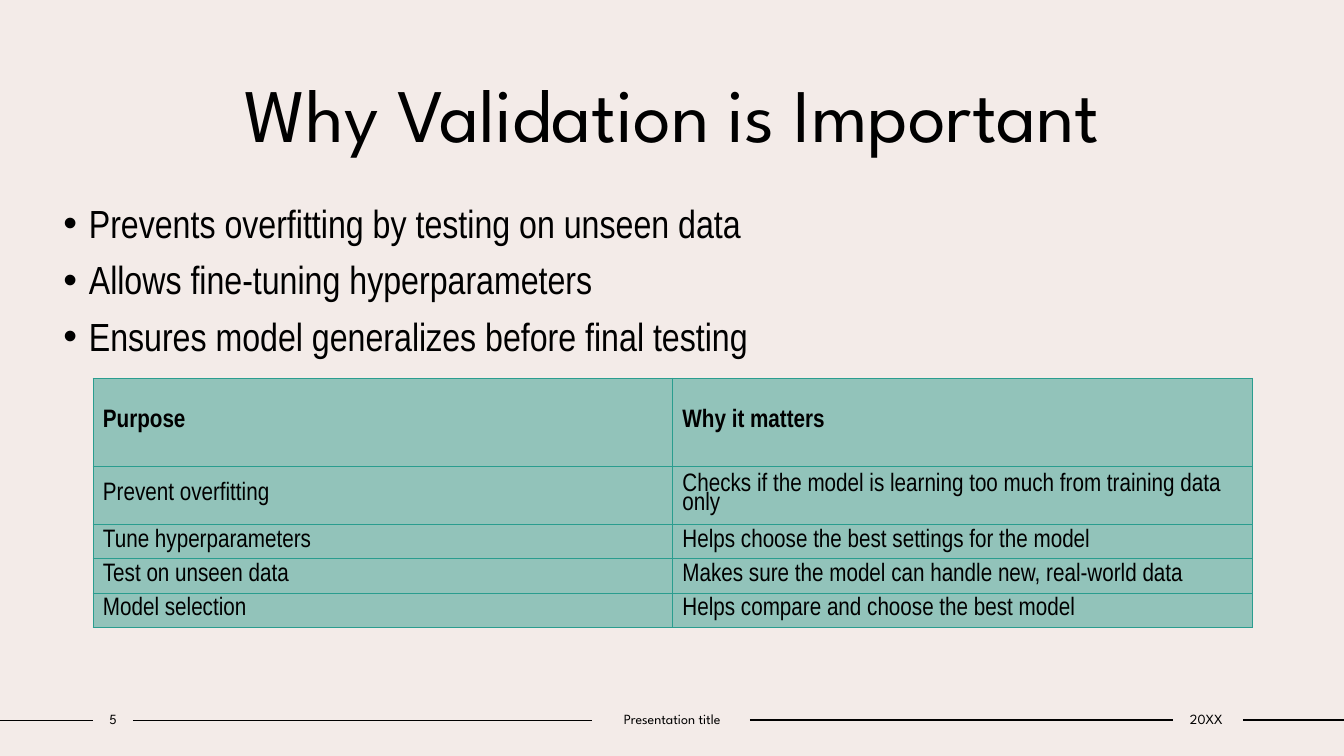
"""Build the slide on why validation is important."""
from dataclasses import dataclass

from lxml import etree
from pptx import Presentation
from pptx import util as u
from pptx.dml.color import RGBColor
from pptx.enum import shapes, text
from pptx.oxml.ns import qn

HUES = {"back": "F3EBE8", "ink": "000000", "cell": "92C3BA", "edge": "2A9D8F"}
HEAD, BODY = "League Spartan", "Arial Narrow"


@dataclass
class Rule:
    left: float
    right: float
    top: float


@dataclass
class Label:
    words: str
    left: float
    top: float
    width: float
    height: float
    size: int
    inset: float


RULES = [
    Rule(0, 2.34, 18.16),
    Rule(3.35, 14.91, 18.16),
    Rule(18.9, 29.57, 18.14),
    Rule(31.32, 33.87, 18.14),
]
LABELS = [
    Label("Why Validation is Important", 3.18, 1.42, 27.53, 2.82, 54, 0.25),
    Label("5", 2.34, 17.78, 1.02, 0.69, 10, 0),
    Label("Presentation title", 14.91, 17.78, 4.06, 0.69, 10, 0),
    Label("20XX", 29.51, 17.78, 1.78, 0.69, 10, 0),
]
POINTS = [
    "Prevents overfitting by testing on unseen data",
    "Allows fine-tuning hyperparameters",
    "Ensures model generalizes before final testing",
]
ROWS = [
    ("Purpose", "Why it matters"),
    ("Prevent overfitting",
     "Checks if the model is learning too much from training data only"),
    ("Tune hyperparameters", "Helps choose the best settings for the model"),
    ("Test on unseen data", "Makes sure the model can handle new, real-world data"),
    ("Model selection", "Helps compare and choose the best model"),
]
TALL = [2.21, 1.45, 0.86, 0.86, 0.86]


def hue(name: str) -> RGBColor:
    return RGBColor.from_string(HUES[name])


def style(para, face: str, size: int, bold: bool = False) -> None:
    font = para.font
    font.name, font.size, font.bold = face, u.Pt(size), bold
    font.color.rgb = hue("ink")


def draw_rule(slide, rule: Rule) -> None:
    line = slide.shapes.add_connector(
        shapes.MSO_CONNECTOR.STRAIGHT, u.Cm(rule.left), u.Cm(rule.top),
        u.Cm(rule.right), u.Cm(rule.top))
    line.line.color.rgb = hue("ink")
    line.line.width = u.Pt(1)
    etree.SubElement(line._element.spPr, qn("a:effectLst"))


def draw_label(slide, label: Label) -> None:
    box = slide.shapes.add_textbox(
        u.Cm(label.left), u.Cm(label.top), u.Cm(label.width), u.Cm(label.height))
    frame = box.text_frame
    frame.word_wrap = True
    frame.vertical_anchor = text.MSO_ANCHOR.MIDDLE
    frame.margin_left = frame.margin_right = u.Cm(label.inset)
    para = frame.paragraphs[0]
    para.text = label.words
    para.alignment = text.PP_ALIGN.CENTER
    style(para, HEAD, label.size)


def draw_points(slide) -> None:
    box = slide.shapes.add_textbox(u.Cm(1.35), u.Cm(5.03), u.Cm(30.56), u.Cm(4.4))
    frame = box.text_frame
    frame.word_wrap = True
    for i, words in enumerate(POINTS):
        para = frame.add_paragraph() if i else frame.paragraphs[0]
        para.text = words
        para.line_spacing = 0.9
        para.space_before = u.Pt(10 if i else 0)
        props = para._p.get_or_add_pPr()
        props.set("marL", str(u.Cm(0.64)))
        props.set("indent", str(-u.Cm(0.64)))
        etree.SubElement(props, qn("a:buFont"), typeface="Arial")
        etree.SubElement(props, qn("a:buChar"), char="•")
        style(para, BODY, 28)


def add_edges(cell) -> None:
    props = cell._tc.get_or_add_tcPr()
    for i, side in enumerate(("lnL", "lnR", "lnT", "lnB")):
        edge = etree.Element(qn(f"a:{side}"), w=str(u.Pt(0.5)))
        fill = etree.SubElement(edge, qn("a:solidFill"))
        etree.SubElement(fill, qn("a:srgbClr"), val=HUES["edge"])
        props.insert(i, edge)


def draw_table(slide) -> None:
    table = slide.shapes.add_table(
        len(ROWS), 2, u.Cm(2.34), u.Cm(9.53), u.Cm(29.21), u.Cm(sum(TALL))).table
    for r, row in enumerate(ROWS):
        table.rows[r].height = u.Cm(TALL[r])
        for c, words in enumerate(row):
            cell = table.cell(r, c)
            cell.fill.solid()
            cell.fill.fore_color.rgb = hue("cell")
            cell.vertical_anchor = text.MSO_ANCHOR.MIDDLE
            add_edges(cell)
            para = cell.text_frame.paragraphs[0]
            para.text = words
            para.line_spacing = 0.8
            style(para, BODY, 18, r == 0)


def main() -> None:
    deck = Presentation()
    deck.slide_width, deck.slide_height = u.Cm(33.87), u.Cm(19.05)
    slide = deck.slides.add_slide(deck.slide_layouts[6])
    slide.background.fill.solid()
    slide.background.fill.fore_color.rgb = hue("back")
    for rule in RULES:
        draw_rule(slide, rule)
    for label in LABELS:
        draw_label(slide, label)
    draw_points(slide)
    draw_table(slide)
    deck.save("out.pptx")


if __name__ == "__main__":
    main()
